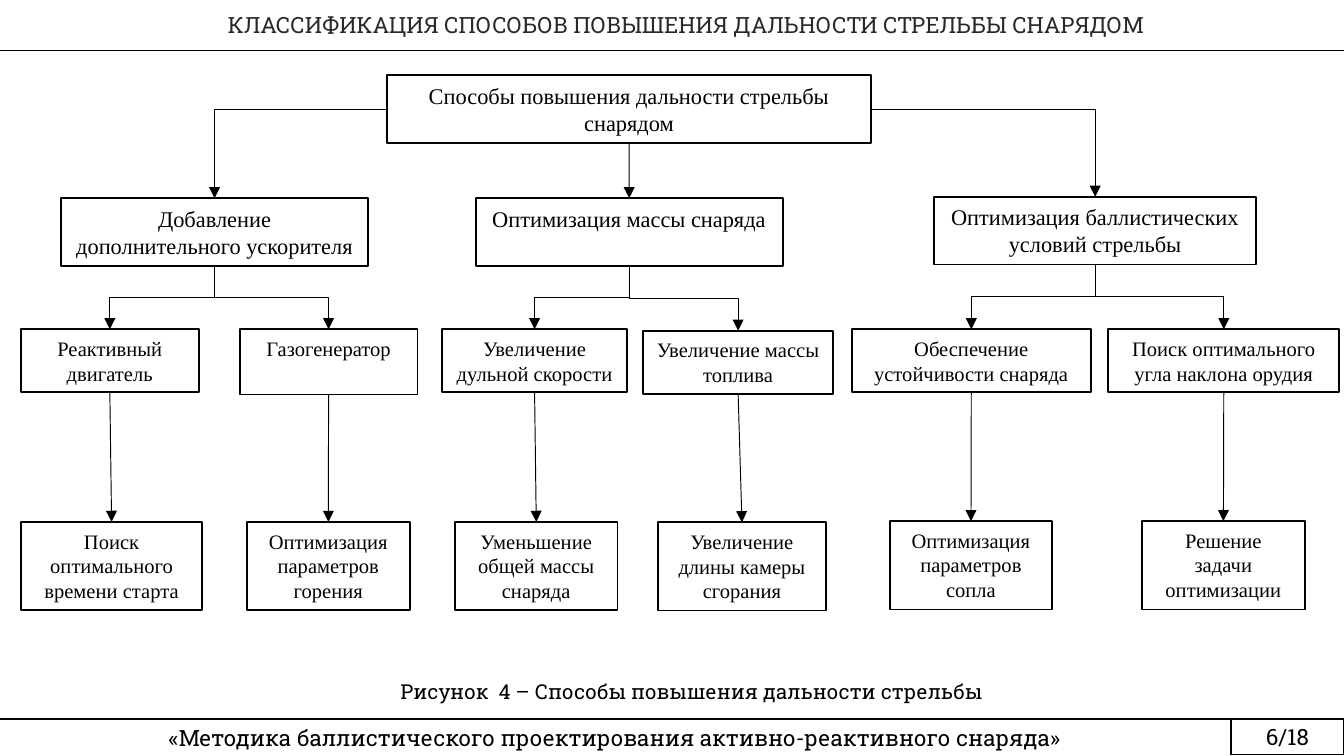
from lxml import etree
from pptx import Presentation
from pptx.dml.color import RGBColor
from pptx.enum.shapes import MSO_CONNECTOR, MSO_SHAPE
from pptx.enum.text import MSO_ANCHOR, PP_ALIGN
from pptx.oxml.ns import qn
from pptx.util import Pt

STRAIGHT, ELBOW = MSO_CONNECTOR.STRAIGHT, MSO_CONNECTOR.ELBOW
RECTANGLE = MSO_SHAPE.RECTANGLE
TOP, MIDDLE = MSO_ANCHOR.TOP, MSO_ANCHOR.MIDDLE
LEFT, CENTER = PP_ALIGN.LEFT, PP_ALIGN.CENTER

BLACK, WHITE, DARK = "000000", "FFFFFF", "292929"
SERIF, SLAB = "Times New Roman", "Roboto Slab"
PAGE_WIDTH, PAGE_HEIGHT = 720, 405
FOOTER_TOP, HEADER_BOTTOM = 385.2, 27.2

TITLE = "КЛАССИФИКАЦИЯ СПОСОБОВ ПОВЫШЕНИЯ ДАЛЬНОСТИ СТРЕЛЬБЫ СНАРЯДОМ"
CAPTION = "Рисунок  4 – Способы повышения дальности стрельбы"
FOOTER = "«Методика баллистического проектирования активно-реактивного снаряда»"
PAGE_NUMBER = "6/18"

ROOT = ("Способы повышения дальности стрельбы снарядом", (207.4, 40.3, 259.2, 36.3))
BRANCHES = [
    ("Добавление дополнительного ускорителя", (32.8, 106.2, 164.4, 36.3), [
        ("Реактивный двигатель", (11.2, 176.4, 95.3, 33.8),
         "Поиск оптимального времени старта", (11.3, 279.6, 97, 47.3)),
        ("Газогенератор", (128.4, 176.4, 95.3, 35),
         "Оптимизация параметров горения", (132.3, 279.6, 87.2, 47.3)),
    ]),
    ("Оптимизация массы снаряда", (254.9, 106.2, 164.4, 36.3), [
        ("Увеличение дульной скорости", (237, 176.4, 98.8, 33.8),
         "Уменьшение общей массы снаряда", (243.7, 279.6, 87.2, 47.3)),
        ("Увеличение массы топлива", (344.6, 177.2, 101.7, 33.8),
         "Увеличение длины камеры сгорания", (352.5, 279.8, 90, 47.3)),
    ]),
    ("Оптимизация баллистических\nусловий стрельбы", (500.5, 105.4, 172.4, 36.3), [
        ("Обеспечение устойчивости снаряда", (456.4, 176.4, 127.9, 33.8),
         "Оптимизация параметров сопла", (476.6, 279.2, 87.2, 47.3)),
        ("Поиск оптимального угла наклона орудия", (593.6, 176.4, 124, 33.8),
         "Решение задачи оптимизации", (611.8, 279.2, 87.2, 47.3)),
    ]),
]


def color(value):
    return RGBColor.from_string(value)


def add_text(text, area, size=12, font=SERIF, ink=BLACK, fill=None, border=None,
             align=CENTER, anchor=TOP, insets=(7.2, 3.6, 7.2, 3.6), after=0):
    box = page.shapes.add_shape(RECTANGLE, *map(Pt, area))
    box.shadow.inherit = False
    if fill:
        box.fill.solid()
        box.fill.fore_color.rgb = color(fill)
    else:
        box.fill.background()
    if border:
        box.line.color.rgb = color(BLACK)
        box.line.width = Pt(border)
    else:
        box.line.fill.background()
    frame = box.text_frame
    frame.word_wrap = True
    frame.vertical_anchor = anchor
    (frame.margin_left, frame.margin_top,
     frame.margin_right, frame.margin_bottom) = map(Pt, insets)
    for index, line in enumerate(text.split("\n")):
        para = frame.add_paragraph() if index else frame.paragraphs[0]
        para.alignment = align
        para.space_after = Pt(after)
        span = para.add_run()
        span.text = line
        span.font.size = Pt(size)
        span.font.name = font
        span.font.color.rgb = color(ink)


def add_line(start, end, kind=STRAIGHT, width=0.5, arrow=True):
    line = page.shapes.add_connector(kind, *map(Pt, (*start, *end)))
    line.line.color.rgb = color(BLACK)
    line.line.width = Pt(width)
    properties = line._element.spPr
    if arrow:
        etree.SubElement(line.line._get_or_add_ln(), qn("a:tailEnd"), type="triangle")
    etree.SubElement(properties, qn("a:effectLst"))
    return properties


def add_corner(start, end):
    properties = add_line(start, end, ELBOW)
    properties.find(qn("a:prstGeom")).set("prst", "bentConnector2")


def add_step(start, end):
    across, down = end[0] - start[0], end[1] - start[1]
    middle_x, middle_y = (start[0] + end[0]) / 2, (start[1] + end[1]) / 2
    reach = down / 2 if across < 0 else -down / 2
    half = abs(across) / 2
    properties = add_line((middle_x - reach, middle_y - half),
                          (middle_x + reach, middle_y + half), ELBOW)
    angle = 90 if across < 0 else 270
    properties.find(qn("a:xfrm")).set("rot", str(angle * 60000))


def top_of(area):
    return area[0] + area[2] / 2, area[1]


def bottom_of(area):
    return area[0] + area[2] / 2, area[1] + area[3]


def side_of(area, right):
    return area[0] + area[2] * right, area[1] + area[3] / 2


deck = Presentation()
deck.slide_width, deck.slide_height = Pt(PAGE_WIDTH), Pt(PAGE_HEIGHT)
page = deck.slides.add_slide(deck.slide_layouts[6])

add_text(TITLE, (0, 0, PAGE_WIDTH, 26.6), font=SLAB, ink=DARK, fill=WHITE,
         anchor=MIDDLE, insets=(16, 0.7, 0.7, 0.7))
add_line((0, HEADER_BOTTOM), (PAGE_WIDTH, HEADER_BOTTOM), width=0.75, arrow=False)
add_line((0, FOOTER_TOP), (661, FOOTER_TOP), width=0.75, arrow=False)
add_text(PAGE_NUMBER, (659.5, FOOTER_TOP, 60.5, 19), font=SLAB, border=0.75,
         anchor=MIDDLE, insets=(5, 2.9, 5, 2.9))
add_text(FOOTER, (0, FOOTER_TOP, 659, 20), font=SLAB, anchor=MIDDLE,
         insets=(5, 2.9, 5, 2.9), after=4.5)
add_text(CAPTION, (207.4, 360, 365.8, 20.9), size=11, font=SLAB, align=LEFT)

root_text, root_area = ROOT
add_text(root_text, root_area, fill=WHITE, border=1)
for position, (branch_text, branch_area, methods) in enumerate(BRANCHES):
    add_text(branch_text, branch_area, fill=WHITE, border=1)
    if position == 1:
        add_line(bottom_of(root_area), top_of(branch_area))
    else:
        add_corner(side_of(root_area, position > 0), top_of(branch_area))
    for method_text, method_area, task_text, task_area in methods:
        add_text(method_text, method_area, size=11, fill=WHITE, border=1)
        add_text(task_text, task_area, size=11, fill=WHITE, border=1)
        add_step(bottom_of(branch_area), top_of(method_area))
        add_line(bottom_of(method_area), top_of(task_area))

deck.save("out.pptx")
